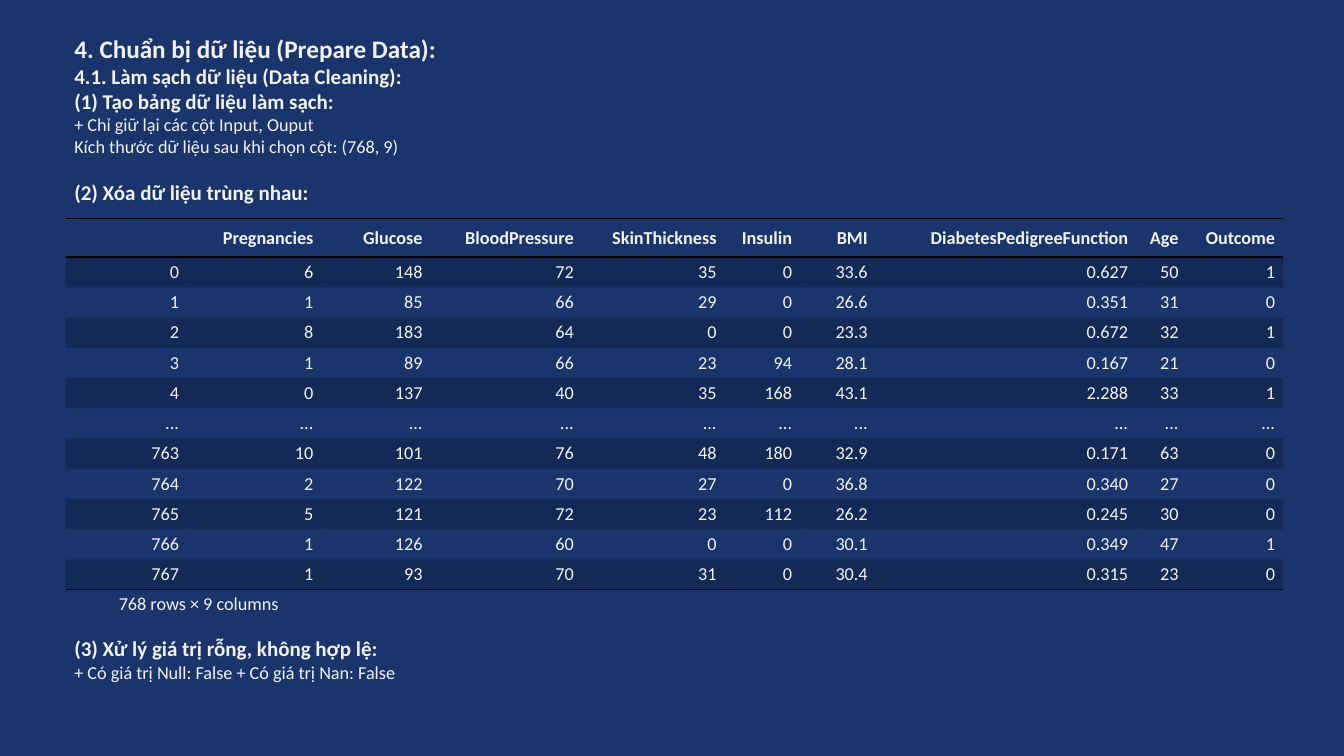
from dataclasses import dataclass

from lxml import etree
from pptx import Presentation
from pptx.dml.color import RGBColor
from pptx.enum.text import MSO_ANCHOR, MSO_AUTO_SIZE, PP_ALIGN
from pptx.oxml.ns import qn
from pptx.util import Pt

RIGHT = PP_ALIGN.RIGHT
MIDDLE = MSO_ANCHOR.MIDDLE
GROW = MSO_AUTO_SIZE.SHAPE_TO_FIT_TEXT

COLORS = {"background": "1A356C", "text": "F2F2F2", "line": "000000", "band": "000000"}
FONT = "Calibri"
BODY, HEADING, TITLE = 13, 15, 18
NO_STYLE_NO_GRID = "{2D5ABB26-0587-4C30-8999-92F81FD0307C}"
BAND_ALPHA = 20000

TABLE_LEFT, TABLE_TOP = 46.8, 156.24
COLUMN_WIDTHS = (87, 96, 78, 108, 102, 54, 54, 186, 36, 69)
HEADER_HEIGHT, ROW_HEIGHT = 26.64, 21.6
INSET_X, INSET_Y = 6, 2.88

HEADER = ("", "Pregnancies", "Glucose", "BloodPressure", "SkinThickness", "Insulin",
          "BMI", "DiabetesPedigreeFunction", "Age", "Outcome")
RECORDS = (
    "0 6 148 72 35 0 33.6 0.627 50 1",
    "1 1 85 66 29 0 26.6 0.351 31 0",
    "2 8 183 64 0 0 23.3 0.672 32 1",
    "3 1 89 66 23 94 28.1 0.167 21 0",
    "4 0 137 40 35 168 43.1 2.288 33 1",
    "... ... ... ... ... ... ... ... ... ...",
    "763 10 101 76 48 180 32.9 0.171 63 0",
    "764 2 122 70 27 0 36.8 0.340 27 0",
    "765 5 121 72 23 112 26.2 0.245 30 0",
    "766 1 126 60 0 0 30.1 0.349 47 1",
    "767 1 93 70 31 0 30.4 0.315 23 0",
)


@dataclass(frozen=True)
class Line:
    text: str
    size: float = BODY
    bold: bool = False
    space_before: float = 0


@dataclass(frozen=True)
class TextBlock:
    left: float
    top: float
    width: float
    height: float
    lines: tuple[Line, ...]


TEXT_BLOCKS = (
    TextBlock(46, 20.16, 780, 146.88, (
        Line("4. Chuẩn bị dữ liệu (Prepare Data):", TITLE, True),
        Line("4.1. Làm sạch dữ liệu (Data Cleaning):", HEADING, True),
        Line("(1) Tạo bảng dữ liệu làm sạch:", HEADING, True),
        Line("+ Chỉ giữ lại các cột Input, Ouput"),
        Line("Kích thước dữ liệu sau khi chọn cột: (768, 9)"),
        Line("(2) Xóa dữ liệu trùng nhau:", HEADING, True, space_before=15.87),
    )),
    TextBlock(77.76, 419.76, 480, 23.04, (Line("768 rows × 9 columns"),)),
    TextBlock(46, 450.72, 480, 41.04, (
        Line("(3) Xử lý giá trị rỗng, không hợp lệ:", HEADING, True),
        Line("+ Có giá trị Null: False + Có giá trị Nan: False"),
    )),
)


def rgb(name: str) -> RGBColor:
    return RGBColor.from_string(COLORS[name])


def add_run(p, line: Line) -> None:
    r = p.add_run()
    r.text = line.text
    r.font.name = FONT
    r.font.size = Pt(line.size)
    r.font.bold = line.bold
    r.font.color.rgb = rgb("text")


def add_text_block(slide, block: TextBlock) -> None:
    sp = slide.shapes.add_textbox(Pt(block.left), Pt(block.top), Pt(block.width), Pt(block.height))
    tf = sp.text_frame
    tf.word_wrap = True
    tf.auto_size = GROW
    for i, line in enumerate(block.lines):
        p = tf.add_paragraph() if i else tf.paragraphs[0]
        if line.space_before:
            p.space_before = Pt(line.space_before)
        add_run(p, line)


def add_border(tc_pr, side: str) -> None:
    ln = etree.SubElement(tc_pr, qn(f"a:{side}"), w=str(Pt(1)))
    fill = etree.SubElement(ln, qn("a:solidFill"))
    etree.SubElement(fill, qn("a:srgbClr"), val=COLORS["line"])


def fill_cell(cell, line: Line, borders: tuple[str, ...], banded: bool) -> None:
    cell.margin_left = cell.margin_right = Pt(INSET_X)
    cell.margin_top = cell.margin_bottom = Pt(INSET_Y)
    cell.vertical_anchor = MIDDLE
    p = cell.text_frame.paragraphs[0]
    p.alignment = RIGHT
    add_run(p, line)

    tc_pr = cell._tc.get_or_add_tcPr()
    for side in borders:
        add_border(tc_pr, side)
    if banded:
        cell.fill.solid()
        cell.fill.fore_color.rgb = rgb("band")
        color = tc_pr.find(qn("a:solidFill")).find(qn("a:srgbClr"))
        etree.SubElement(color, qn("a:alpha"), val=str(BAND_ALPHA))
    else:
        cell.fill.background()


def add_data_table(slide) -> None:
    rows = [HEADER, *(record.split() for record in RECORDS)]
    last = len(rows) - 1
    height = HEADER_HEIGHT + last * ROW_HEIGHT
    table = slide.shapes.add_table(len(rows), len(HEADER), Pt(TABLE_LEFT), Pt(TABLE_TOP),
                                   Pt(sum(COLUMN_WIDTHS)), Pt(height)).table
    table.first_row = table.horz_banding = False
    table._tbl.tblPr.find(qn("a:tableStyleId")).text = NO_STYLE_NO_GRID
    for column, width in zip(table.columns, COLUMN_WIDTHS):
        column.width = Pt(width)

    borders = {0: ("lnT", "lnB"), last: ("lnB",)}
    for i, values in enumerate(rows):
        table.rows[i].height = Pt(ROW_HEIGHT if i else HEADER_HEIGHT)
        for j, value in enumerate(values):
            fill_cell(table.cell(i, j), Line(value, bold=i == 0),
                      borders.get(i, ()), banded=i % 2 == 1)


def main() -> None:
    prs = Presentation()
    prs.slide_width, prs.slide_height = Pt(960), Pt(540)
    slide = prs.slides.add_slide(prs.slide_layouts[6])

    # Background
    slide.background.fill.solid()
    slide.background.fill.fore_color.rgb = rgb("background")

    # Headings and notes around the table
    for block in TEXT_BLOCKS:
        add_text_block(slide, block)

    # Patient records
    add_data_table(slide)

    prs.save("out.pptx")


if __name__ == "__main__":
    main()
